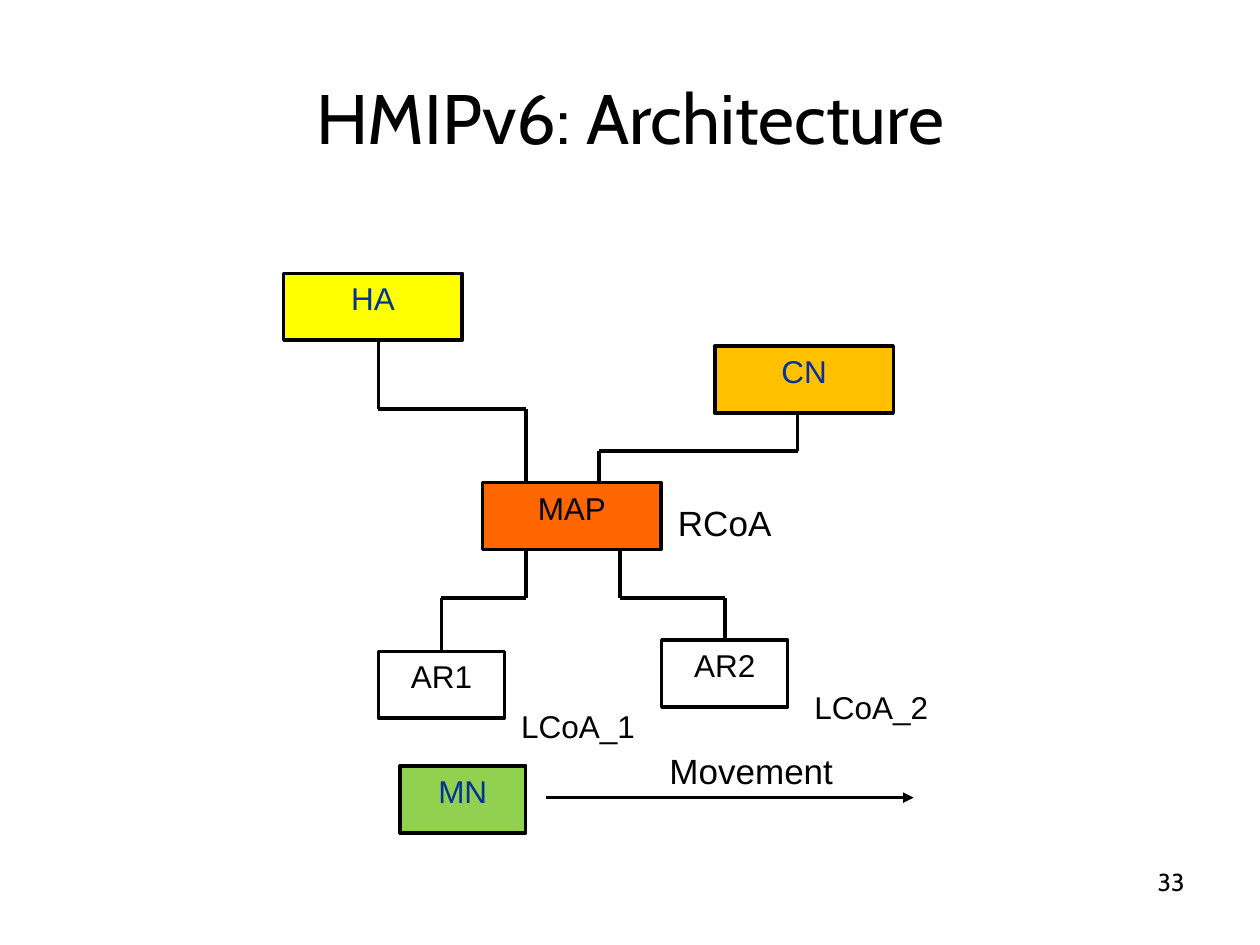
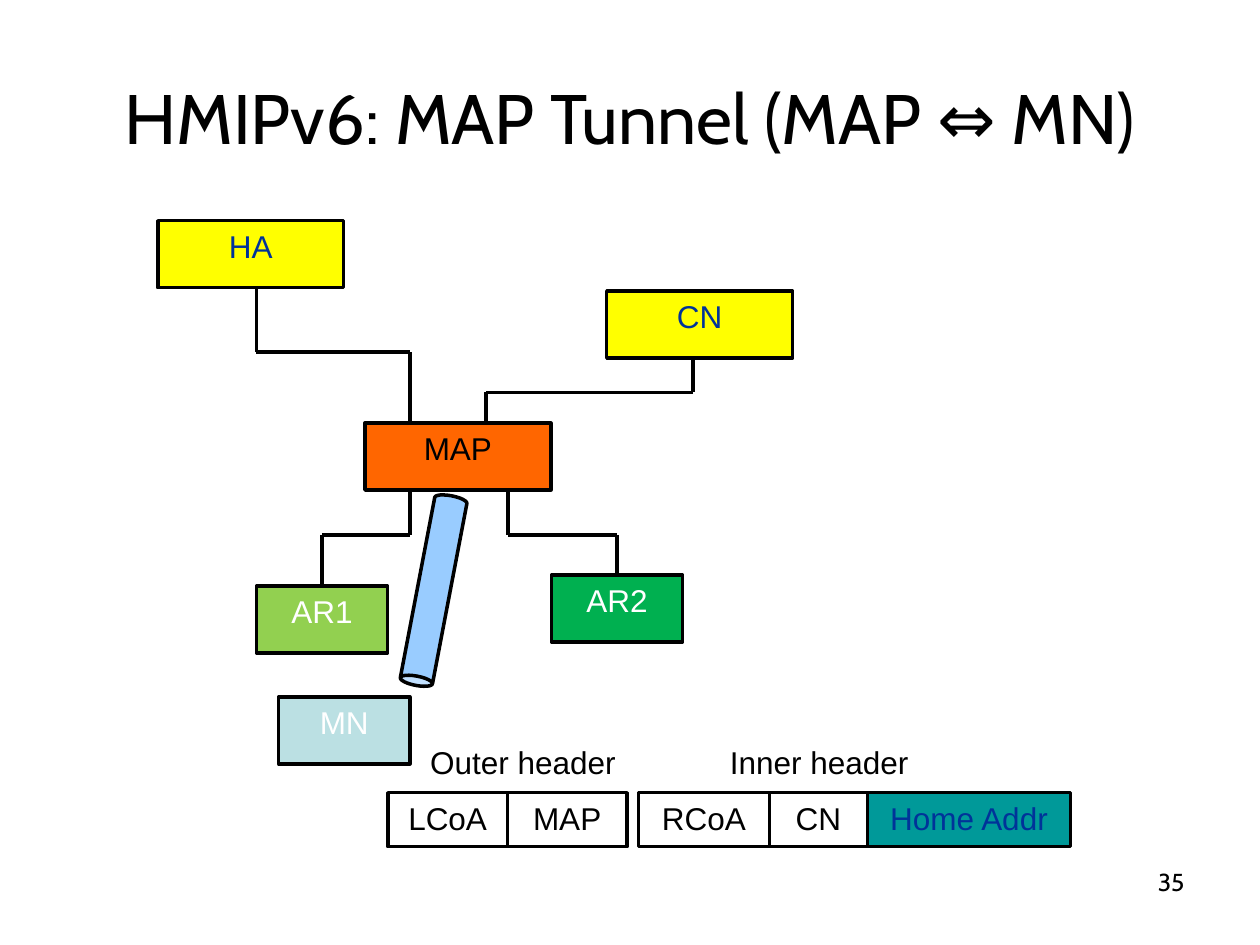
from lxml import etree
from pptx import Presentation
from pptx.dml.color import RGBColor
from pptx.enum import shapes, text
from pptx.oxml import ns
from pptx.util import Cm, Pt

COLORS = {
    "black": "000000", "white": "FFFFFF", "navy": "003399",
    "yellow": "FFFF00", "amber": "FFC000", "orange": "FF6600",
    "lime": "92D050", "green": "00B050", "ice": "BBE0E3",
    "sky": "99CCFF", "teal": "009999",
}
BODY_FONT, TITLE_FONT = "Arial", "Cabin"
FRAME = {"word_wrap": True, "auto_size": text.MSO_AUTO_SIZE.NONE,
         "vertical_anchor": text.MSO_ANCHOR.TOP}
TITLE_FRAME = {**FRAME, "vertical_anchor": text.MSO_ANCHOR.MIDDLE}
LABEL_FONT = {"name": BODY_FONT, "size": Pt(18)}
LARGE_FONT = {"name": BODY_FONT, "size": Pt(20)}
TITLE_STYLE = {"name": TITLE_FONT, "size": Pt(40), "bold": False}
NUMBER_FONT = {"name": TITLE_FONT, "size": Pt(14)}

NODE_HEIGHT = 1.35
GRID_WIDTH, GRID_DROP = 12.29, 9.93
NODES = {
    "HA": (0, 0, 3.6), "CN": (8.69, 1.47, 3.6), "MAP": (4.01, 4.22, 3.6),
    "AR1": (1.91, 7.62, 2.54), "AR2": (7.62, 7.39, 2.54), "MN": (2.34, 9.93, 2.54),
}
LINKS = [
    ("HA", "MAP", 1.91, 2.74, 4.88),
    ("CN", "MAP", 10.36, 3.58, 6.35),
    ("MAP", "AR1", 4.88, 6.55, 3.18),
    ("MAP", "AR2", 6.78, 6.55, 8.89),
]


def rgb(color):
    return RGBColor.from_string(COLORS[color])


def apply(target, values):
    for name, value in values.items():
        setattr(target, name, value)


def write(shape, words, font, color="black", align=text.PP_ALIGN.CENTER, frame=FRAME):
    apply(shape.text_frame, frame)
    paragraph = shape.text_frame.paragraphs[0]
    paragraph.alignment = align
    run = paragraph.add_run()
    run.text = words
    apply(run.font, font)
    run.font.color.rgb = rgb(color)


def outline(shape):
    shape.line.color.rgb = rgb("black")
    shape.line.width = Pt(2)


def add_solid(slide, box, fill=None, kind=shapes.MSO_SHAPE.RECTANGLE):
    solid = slide.shapes.add_shape(kind, *map(Cm, box))
    solid.shadow.inherit = False
    if fill:
        solid.fill.solid()
        solid.fill.fore_color.rgb = rgb(fill)
    else:
        solid.fill.background()
    outline(solid)
    return solid


def add_label(slide, box, words, font=LABEL_FONT, align=text.PP_ALIGN.CENTER):
    write(slide.shapes.add_textbox(*map(Cm, box)), words, font, align=align)


def add_line(slide, start, end, arrow=False):
    line = slide.shapes.add_connector(
        shapes.MSO_CONNECTOR.STRAIGHT, *map(Cm, (*start, *end)))
    outline(line)
    if arrow:
        etree.SubElement(line.line._get_or_add_ln(), ns.qn("a:tailEnd"), type="triangle")
    etree.SubElement(line._element.spPr, ns.qn("a:effectLst"))
    return line


def add_titled_slide(deck, title, number):
    slide = deck.slides.add_slide(deck.slide_layouts[5])
    heading = slide.shapes.title
    place = dict(zip(("left", "top", "width", "height"), map(Cm, (1.27, 0.76, 22.86, 3.18))))
    apply(heading, place)
    write(heading, title, TITLE_STYLE, frame=TITLE_FRAME)
    add_label(slide, (18.21, 17.35, 5.92, 1.32), number, NUMBER_FONT, text.PP_ALIGN.RIGHT)
    return slide


def draw_topology(slide, box, palette):
    left, top, width, height = box
    across = width / GRID_WIDTH
    down = (height - NODE_HEIGHT) / GRID_DROP
    nodes, tops = {}, {}
    for name, (x, y, node_width) in NODES.items():
        fill, ink = palette[name]
        tops[name] = top + y * down
        nodes[name] = add_solid(
            slide, (left + x * across, tops[name], node_width * across, NODE_HEIGHT), fill)
        write(nodes[name], name, LABEL_FONT, ink)
    for upper, lower, start_x, bend_y, end_x in LINKS:
        start, end = left + start_x * across, left + end_x * across
        bend = top + bend_y * down
        route = [(start, tops[upper] + NODE_HEIGHT), (start, bend), (end, bend), (end, tops[lower])]
        for begin, finish in zip(route, route[1:]):
            segment = add_line(slide, begin, finish)
        if lower != "MAP":
            segment.end_connect(nodes[lower], 0)


def draw_movement(slide, left, top):
    for words, x, y, width, height, font in [
        ("RCoA", 7.62, 4.47, 2.54, 1.09, LARGE_FONT),
        ("Movement", 7.42, 9.47, 4.01, 1.09, LARGE_FONT),
        ("LCoA_1", 4.45, 8.61, 2.97, 1.02, LABEL_FONT),
        ("LCoA_2", 10.36, 8.23, 2.97, 1.02, LABEL_FONT),
    ]:
        add_label(slide, (left + x, top + y, width, height), words, font)
    add_line(slide, (left + 5.28, top + 10.57), (left + 12.7, top + 10.57), arrow=True)


def draw_tunnel(slide, box):
    tunnel = add_solid(slide, box, "sky", shapes.MSO_SHAPE.CAN)
    tunnel.rotation = 190.8
    tunnel.adjustments[0] = 0.286


def draw_packet(slide, left, top):
    headers = [
        ("Outer header", 0.25, 4.95, [("LCoA", 2.41), ("MAP", 2.41)]),
        ("Inner header", 6.5, 4.39, [("RCoA", 2.64), ("CN", 1.98), ("Home Addr", 4.09)]),
    ]
    gap, field_x = 0.23, left
    for caption, caption_x, caption_width, fields in headers:
        add_label(slide, (left + caption_x, top - 1.12, caption_width, 1.02), caption)
        for words, width in fields:
            fill, ink = ("teal", "navy") if words == "Home Addr" else (None, "black")
            write(add_solid(slide, (field_x, top, width, 1.09), fill), words, LABEL_FONT, ink)
            field_x += width
        field_x += gap


def build_architecture(deck):
    slide = add_titled_slide(deck, "HMIPv6: Architecture", "33")
    left, top = 5.72, 5.51
    draw_topology(slide, (left, top, 12.29, 11.28), {
        "HA": ("yellow", "navy"), "CN": ("amber", "navy"), "MAP": ("orange", "black"),
        "AR1": ("white", "black"), "AR2": ("white", "black"), "MN": ("lime", "navy"),
    })
    draw_movement(slide, left, top)


def build_map_tunnel(deck):
    slide = add_titled_slide(deck, "HMIPv6: MAP Tunnel (MAP ⇔ MN)", "35")
    left, top = 3.18, 4.45
    draw_topology(slide, (left, top, 12.8, 10.95), {
        "HA": ("yellow", "navy"), "CN": ("yellow", "navy"), "MAP": ("orange", "black"),
        "AR1": ("lime", "white"), "AR2": ("green", "white"), "MN": ("ice", "white"),
    })
    draw_tunnel(slide, (left + 5.23, top + 5.51, 0.66, 3.89))
    draw_packet(slide, 7.82, 15.98)


def main():
    deck = Presentation()
    apply(deck, {"slide_width": Cm(25.4), "slide_height": Cm(19.05)})
    build_architecture(deck)
    build_map_tunnel(deck)
    deck.save("out.pptx")


if __name__ == "__main__":
    main()
